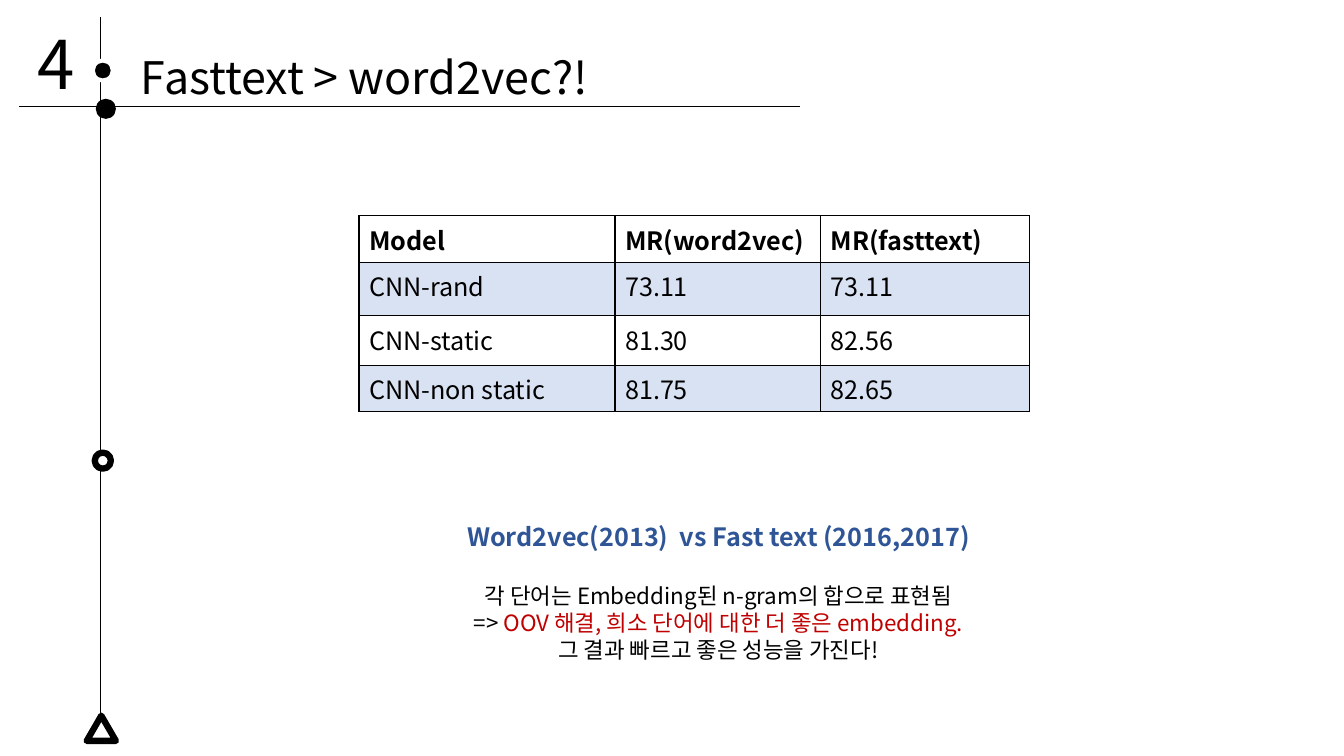
from dataclasses import dataclass
from typing import Optional

from lxml import etree
from pptx import Presentation
from pptx.dml.color import RGBColor
from pptx.enum.shapes import MSO_CONNECTOR, MSO_SHAPE
from pptx.enum.text import MSO_AUTO_SIZE, PP_ALIGN
from pptx.oxml.ns import qn
from pptx.util import Inches, Pt

FONT = "Noto Sans CJK KR"
BLACK = RGBColor(0, 0, 0)
WHITE = RGBColor(255, 255, 255)
BLUE = RGBColor(0x44, 0x72, 0xC4)
NAVY = RGBColor(0x2F, 0x55, 0x97)
RED = RGBColor(0xC0, 0, 0)

OVAL = MSO_SHAPE.OVAL
TRIANGLE = MSO_SHAPE.ISOSCELES_TRIANGLE
STRAIGHT = MSO_CONNECTOR.STRAIGHT
CENTER = PP_ALIGN.CENTER
LEFT = PP_ALIGN.LEFT
GROW = MSO_AUTO_SIZE.SHAPE_TO_FIT_TEXT


@dataclass
class Run:
    text: str
    size: int
    color: RGBColor = BLACK
    bold: bool = False


@dataclass
class Para:
    runs: list[Run]
    align: PP_ALIGN = LEFT
    before: int = 0


@dataclass
class Box:
    at: tuple[float, float, float, float]
    paras: list[Para]
    wrap: bool = False
    inset: float = 0.1


@dataclass
class Mark:
    kind: MSO_SHAPE
    at: tuple[float, float, float, float]
    fill: RGBColor
    line: Optional[RGBColor] = None
    width: float = 0


@dataclass
class Rule:
    start: tuple[float, float]
    end: tuple[float, float]


BOXES = [
    Box((1.3, 0.44, 4.85, 0.64), [Para([Run("Fasttext > word2vec?!", 32)])]),
    Box((0.27, 0.17, 0.62, 0.91), [Para([Run("4", 48)])]),
    Box((4.47, 5.12, 5.31, 1.51), [
        Para([Run("Word2vec(2013)  vs Fast text (2016,2017) ", 18, NAVY, True)], CENTER),
        Para([Run("각 단어는 Embedding된 n-gram의 합으로 표현됨", 16)], CENTER, 22),
        Para([Run("=> ", 16),
              Run("OOV 해결, 희소 단어에 대한 더 좋은 embedding.", 16, RED)], CENTER),
        Para([Run("그 결과 빠르고 좋은 성능을 가진다!", 16)], CENTER),
    ], True, 0.14),
]
RULES = [Rule((0.19, 1.06), (7.93, 1.06)), Rule((1, 0.17), (1, 7.28))]
MARKS = [
    Mark(OVAL, (0.95, 0.98, 0.2, 0.2), BLACK),
    Mark(OVAL, (0.94, 4.49, 0.16, 0.16), WHITE, BLACK, 4.5),
    Mark(OVAL, (0.92, 0.6, 0.2, 0.2), BLACK, WHITE, 3),
    Mark(TRIANGLE, (0.86, 7.1, 0.29, 0.25), WHITE, BLACK, 4.5),
]
SCORES = [
    ("Model", "MR(word2vec)", "MR(fasttext)"),
    ("CNN-rand", "73.11", "73.11"),
    ("CNN-static", "81.30", "82.56"),
    ("CNN-non static", "81.75", "82.65"),
]
COLS = [2.54, 2.04, 2.07]
ROWS = [0.45, 0.53, 0.49, 0.46]


def add_run(para, item: Run) -> None:
    run = para.add_run()
    run.text = item.text
    font = run.font
    font.name, font.size, font.bold = FONT, Pt(item.size), item.bold
    font.color.rgb = item.color
    east = etree.SubElement(run._r.get_or_add_rPr(), qn("a:ea"))
    east.set("typeface", FONT)


def add_box(slide, box: Box) -> None:
    frame = slide.shapes.add_textbox(*map(Inches, box.at)).text_frame
    frame.word_wrap = box.wrap
    frame.auto_size = GROW
    frame.margin_left = frame.margin_right = Inches(box.inset)
    for i, item in enumerate(box.paras):
        para = frame.add_paragraph() if i else frame.paragraphs[0]
        para.alignment = item.align
        if item.before:
            para.space_before = Pt(item.before)
        for run in item.runs:
            add_run(para, run)


def add_rule(slide, rule: Rule) -> None:
    line = slide.shapes.add_connector(STRAIGHT, *map(Inches, rule.start + rule.end))
    line.line.color.rgb = BLACK
    line.line.width = Pt(0.5)
    etree.SubElement(line._element.spPr, qn("a:effectLst"))


def add_mark(slide, mark: Mark) -> None:
    shape = slide.shapes.add_shape(mark.kind, *map(Inches, mark.at))
    shape.shadow.inherit = False
    shape.fill.solid()
    shape.fill.fore_color.rgb = mark.fill
    if mark.line is None:
        shape.line.fill.background()
    else:
        shape.line.color.rgb = mark.line
        shape.line.width = Pt(mark.width)


def style_cell(cell, tint: bool) -> None:
    """Fill the cell with pale blue or nothing, and frame it in black."""
    props = cell._tc.get_or_add_tcPr()
    if tint:
        cell.fill.solid()
        cell.fill.fore_color.rgb = BLUE
        color = props.find(qn("a:solidFill"))[0]
        etree.SubElement(color, qn("a:alpha")).set("val", "20000")
    else:
        cell.fill.background()
    for i, side in enumerate(("lnL", "lnR", "lnT", "lnB")):
        edge = etree.Element(qn(f"a:{side}"), w=str(Pt(1)))
        fill = etree.SubElement(edge, qn("a:solidFill"))
        etree.SubElement(fill, qn("a:srgbClr")).set("val", str(BLACK))
        props.insert(i, edge)


def add_scores(slide) -> None:
    at = map(Inches, (3.56, 2.14, sum(COLS), sum(ROWS)))
    table = slide.shapes.add_table(len(ROWS), len(COLS), *at).table
    table.first_row = table.horz_banding = False
    for col, width in zip(table.columns, COLS):
        col.width = Inches(width)
    for i, (row, height) in enumerate(zip(table.rows, ROWS)):
        row.height = Inches(height)
        for cell, text in zip(row.cells, SCORES[i]):
            add_run(cell.text_frame.paragraphs[0], Run(text, 18, bold=i == 0))
            style_cell(cell, i % 2 == 1)


def main() -> None:
    deck = Presentation()
    deck.slide_width, deck.slide_height = Inches(13.33), Inches(7.5)
    slide = deck.slides.add_slide(deck.slide_layouts[6])
    for rule in RULES:
        add_rule(slide, rule)
    for mark in MARKS:
        add_mark(slide, mark)
    add_scores(slide)
    for box in BOXES:
        add_box(slide, box)
    deck.save("out.pptx")


if __name__ == "__main__":
    main()
